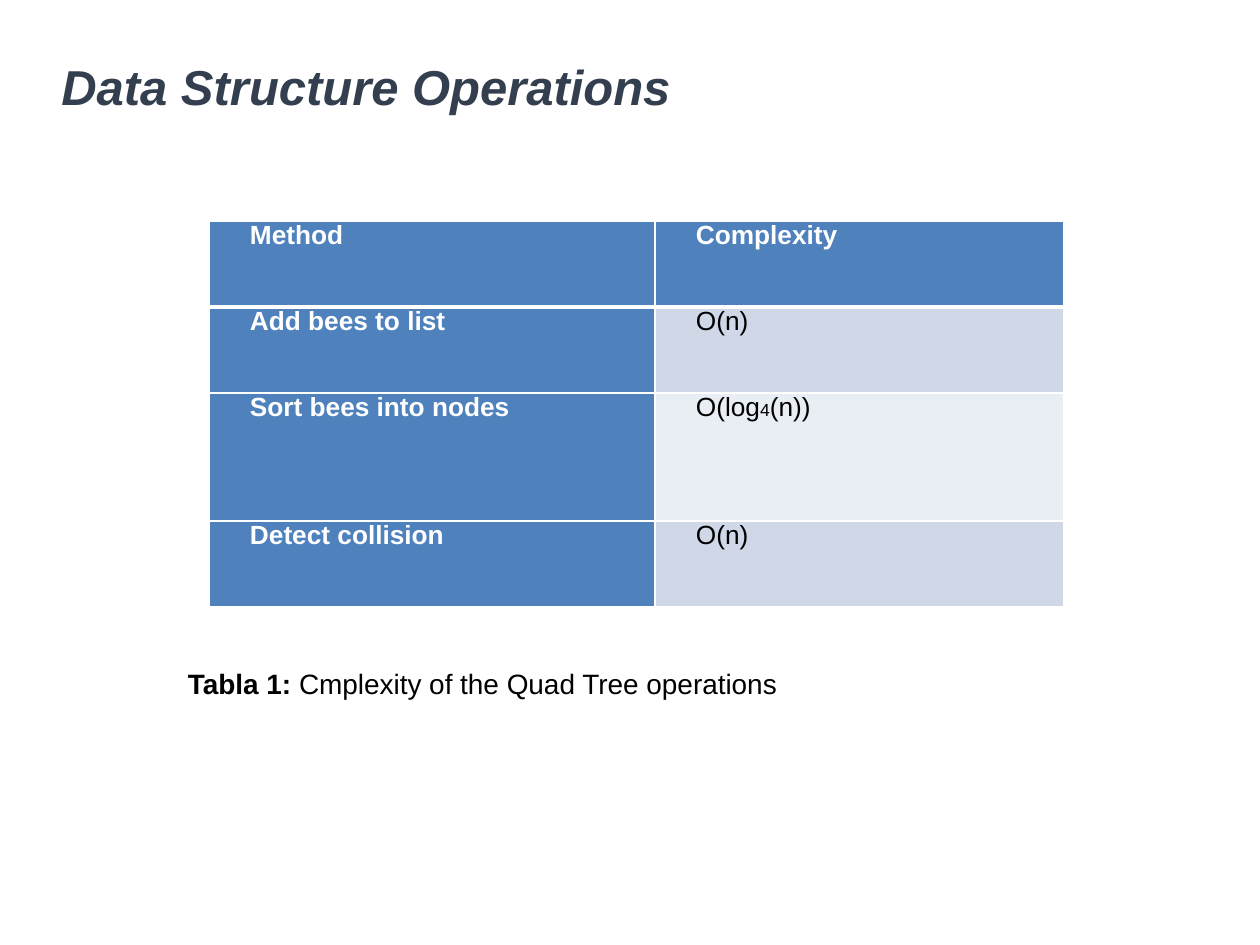
from dataclasses import dataclass

from pptx import Presentation
from pptx.dml.color import RGBColor
from pptx.enum.text import MSO_ANCHOR as Anchor, PP_ALIGN as Align
from pptx.oxml import parse_xml
from pptx.oxml.ns import nsdecls
from pptx.util import Emu, Pt

# Content: a cell is a list of (text, size role) runs
TITLE = "Data Structure Operations"
CAPTION = [("Tabla 1: ", True), ("Cmplexity of the Quad Tree operations", False)]
OPERATIONS = [
    ([("Method", "cell")], [("Complexity", "cell")]),
    ([("Add bees to list", "cell")], [("O(n)", "cell")]),
    ([("Sort bees into nodes", "cell")],
     [("O(log", "cell"), ("4", "base"), ("(n))", "cell")]),
    ([("Detect collision", "cell")], [("O(n)", "cell")]),
]

# Layout in px
SLIDE = (1260, 945)
TITLE_BOX = (49, 48, 720, 84)
CAPTION_BOX = (161, 660, 643, 67)
TABLE_AT = (209, 221)
COLUMNS = (446, 409)
ROWS = (86, 86, 128, 86)
CELL_MARGIN = 9
FIRST_LINE = 32


@dataclass(frozen=True)
class Theme:
    font: str = "Arial"
    ink: str = "000000"
    title: str = "333F4F"
    header: str = "4F81BD"
    header_ink: str = "FFFFFF"
    bands: tuple = ("D0D8E8", "E9EDF4")
    rule: str = "FFFFFF"
    title_size: int = 28
    caption_size: int = 16
    cell_size: int = 15
    base_size: int = 10


THEME = Theme()


def px(length):
    return Emu(length * 914400 // 126)


def style(font, size, color, bold=None, italic=None):
    font.name = THEME.font
    font.size = Pt(size)
    font.color.rgb = RGBColor.from_string(color)
    font.bold = bold
    font.italic = italic


def add_text(slide, box):
    frame = slide.shapes.add_textbox(*map(px, box)).text_frame
    frame.word_wrap = True
    return frame


def set_borders(cell, is_header):
    """Rule all four sides, with a heavier line below the header."""
    properties = cell._tc.get_or_add_tcPr()
    widths = {"L": 1, "R": 1, "T": 1, "B": 3 if is_header else 1}
    for index, (side, width) in enumerate(widths.items()):
        properties.insert(index, parse_xml(
            f'<a:ln{side} {nsdecls("a")} w="{Pt(width)}"><a:solidFill>'
            f'<a:srgbClr val="{THEME.rule}"/></a:solidFill></a:ln{side}>'))


def fill_cell(cell, runs, row, column):
    is_heading = row == 0 or column == 0
    fill = THEME.header if is_heading else THEME.bands[(row - 1) % 2]
    cell.fill.solid()
    cell.fill.fore_color.rgb = RGBColor.from_string(fill)
    cell.margin_left = cell.margin_right = px(CELL_MARGIN)
    cell.margin_top = cell.margin_bottom = 0
    set_borders(cell, row == 0)

    paragraph = cell.text_frame.paragraphs[0]
    paragraph.alignment = Align.JUSTIFY
    paragraph.space_after = Pt(6)
    indent = paragraph._p.get_or_add_pPr()
    indent.set("marL", "0")
    indent.set("indent", str(px(FIRST_LINE)))
    sizes = {"cell": THEME.cell_size, "base": THEME.base_size}
    color = THEME.header_ink if is_heading else THEME.ink
    for text, role in runs:
        run = paragraph.add_run()
        run.text = text
        style(run.font, sizes[role], color, is_heading)


def main():
    deck = Presentation()
    deck.slide_width, deck.slide_height = map(px, SLIDE)
    slide = deck.slides.add_slide(deck.slide_layouts[6])

    # Title
    title = add_text(slide, TITLE_BOX)
    title.vertical_anchor = Anchor.MIDDLE
    heading = title.paragraphs[0]
    heading.text = TITLE
    heading.line_spacing = 0.9
    style(heading.font, THEME.title_size, THEME.title, bold=True, italic=True)

    # Caption
    caption = add_text(slide, CAPTION_BOX).paragraphs[0]
    caption.alignment = Align.CENTER
    for text, bold in CAPTION:
        run = caption.add_run()
        run.text = text
        style(run.font, THEME.caption_size, THEME.ink, bold)

    # Complexity table
    table = slide.shapes.add_table(
        len(ROWS), len(COLUMNS), *map(px, TABLE_AT),
        px(sum(COLUMNS)), px(sum(ROWS))).table
    table.first_col = True
    for column, width in zip(table.columns, COLUMNS):
        column.width = px(width)
    for row, height in zip(table.rows, ROWS):
        row.height = px(height)
    for r, operation in enumerate(OPERATIONS):
        for c, runs in enumerate(operation):
            fill_cell(table.cell(r, c), runs, r, c)

    deck.save("out.pptx")


if __name__ == "__main__":
    main()
